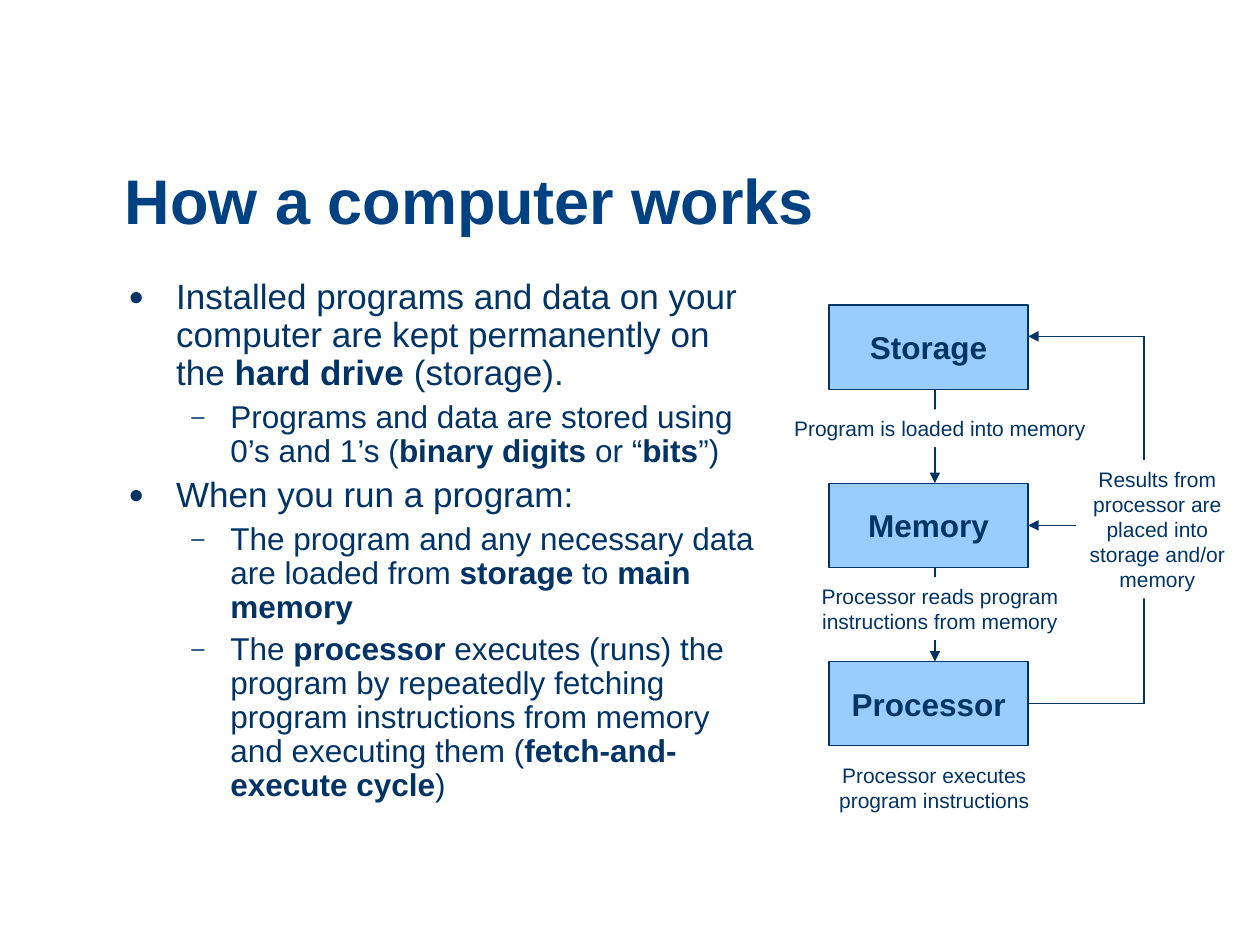
from lxml import etree
from pptx import Presentation
from pptx.dml.color import RGBColor
from pptx.enum.shapes import MSO_CONNECTOR, MSO_SHAPE
from pptx.enum.text import MSO_ANCHOR, MSO_AUTO_SIZE, PP_ALIGN
from pptx.oxml.ns import qn
from pptx.util import Inches, Pt

RECTANGLE, STRAIGHT = MSO_SHAPE.RECTANGLE, MSO_CONNECTOR.STRAIGHT
LEFT, CENTER = PP_ALIGN.LEFT, PP_ALIGN.CENTER
TOP, MIDDLE, BOTTOM = MSO_ANCHOR.TOP, MSO_ANCHOR.MIDDLE, MSO_ANCHOR.BOTTOM
RIGHT_SIDE = 3
FONT, NAVY, TITLE_BLUE, LIGHT_BLUE, WHITE = "Arial", "003366", "004182", "99CCFF", "FFFFFF"

# Content: (level, text), with ** around bold words
TITLE = "How a computer works"
BULLETS = [
    (0, "Installed programs and data on your computer are kept permanently on the **hard drive** (storage)."),
    (1, "Programs and data are stored using 0’s and 1’s (**binary digits** or “**bits**”)"),
    (0, "When you run a program:"),
    (1, "The program and any necessary data are loaded from **storage** to **main memory**"),
    (1, "The **processor** executes (runs) the program by repeatedly fetching program "
        "instructions from memory and executing them (**fetch-and-execute cycle**)"),
]
# Per level: text size, space before, left margin, hanging indent, bullet
LEVELS = [(20, 5, 0.38, 0.38, "●"), (18, 4.5, 0.81, 0.31, "–")]
STAGES = ["Storage", "Memory", "Processor"]
LABELS = [  # text, left, top, width, height
    ("Program is loaded into memory", 6, 3.25, 2.92, 0.3),
    ("Processor reads program instructions from memory", 6, 4.58, 2.92, 0.5),
    ("Processor executes program instructions", 6.5, 6, 1.83, 0.5),
    ("Results from processor are placed into storage and/or memory", 8.54, 3.65, 1.29, 1.1),
]

# Diagram grid
BOX_LEFT, BOX_TOP, BOX_WIDTH, BOX_HEIGHT, BOX_STEP = 6.58, 2.42, 1.58, 0.67, 1.415
ARROW_X, RETURN_X, STORAGE_ENTRY_Y = 7.42, 9.08, 2.67
BOX_RIGHT = BOX_LEFT + BOX_WIDTH


def color(hex_string):
    return RGBColor.from_string(hex_string)


def write(paragraph, text, size=12, hue=NAVY, bold=False, align=LEFT, before=0, spacing=1.0):
    paragraph.alignment = align
    paragraph.line_spacing = spacing
    paragraph.space_before = Pt(before)
    for index, part in enumerate(text.split("**")):
        if part:
            run = paragraph.add_run()
            run.text = part
            run.font.name, run.font.size = FONT, Pt(size)
            run.font.bold = bold or index % 2 == 1
            run.font.color.rgb = color(hue)


def set_bullet(paragraph, margin, hanging, character):
    properties = paragraph._p.get_or_add_pPr()
    properties.set("marL", str(Inches(margin)))
    properties.set("indent", str(-Inches(hanging)))
    bullet_color = etree.SubElement(properties, qn("a:buClr"))
    etree.SubElement(bullet_color, qn("a:srgbClr"), val=NAVY)
    etree.SubElement(properties, qn("a:buSzPct"), val="75000")
    etree.SubElement(properties, qn("a:buFont"), typeface=FONT)
    etree.SubElement(properties, qn("a:buChar"), char=character)


def add_rectangle(left, top, width, height, fill, outline=None):
    shape = slide.shapes.add_shape(RECTANGLE, *map(Inches, (left, top, width, height)))
    shape.shadow.inherit = False
    shape.fill.solid()
    shape.fill.fore_color.rgb = color(fill)
    if outline:
        shape.line.color.rgb = color(outline)
        shape.line.width = Pt(0.75)
    else:
        shape.line.fill.background()
    return shape


def add_line(start, end, arrow=False, start_box=None, end_box=None):
    line = slide.shapes.add_connector(STRAIGHT, *map(Inches, (*start, *end)))
    line.line.color.rgb = color(NAVY)
    line.line.width = Pt(0.75)
    if arrow:
        etree.SubElement(line.line._get_or_add_ln(), qn("a:tailEnd"), type="triangle")
    etree.SubElement(line._element.spPr, qn("a:effectLst"))
    if start_box is not None:
        line.begin_connect(start_box, RIGHT_SIDE)
    if end_box is not None:
        line.end_connect(end_box, RIGHT_SIDE)


presentation = Presentation()
presentation.slide_width, presentation.slide_height = Inches(10), Inches(7.5)
slide = presentation.slides.add_slide(presentation.slide_layouts[5])

# Title
title = slide.shapes.title
title.left, title.top, title.width, title.height = map(Inches, (0.89, 1.14, 8.55, 0.8))
title.text_frame.vertical_anchor = BOTTOM
title.text_frame.auto_size = MSO_AUTO_SIZE.NONE
write(title.text_frame.paragraphs[0], TITLE, size=36, hue=TITLE_BLUE, bold=True, spacing=0.9)

# Bulleted text
body = slide.shapes.add_textbox(*map(Inches, (0.92, 2.17, 5.17, 5.08))).text_frame
body.word_wrap = True
for index, (level, text) in enumerate(BULLETS):
    paragraph = body.add_paragraph() if index else body.paragraphs[0]
    paragraph.level = level
    size, before, margin, hanging, character = LEVELS[level]
    write(paragraph, text, size=size, before=before, spacing=0.9)
    set_bullet(paragraph, margin, hanging, character)

# Stage boxes
box_tops = [BOX_TOP + BOX_STEP * index for index in range(len(STAGES))]
boxes = []
for name, top in zip(STAGES, box_tops):
    box = add_rectangle(BOX_LEFT, top, BOX_WIDTH, BOX_HEIGHT, LIGHT_BLUE, NAVY)
    box.text_frame.word_wrap = False
    box.text_frame.vertical_anchor = MIDDLE
    write(box.text_frame.paragraphs[0], name, size=18, bold=True, align=CENTER)
    boxes.append(box)

# Arrows down from stage to stage
for upper, lower in zip(box_tops, box_tops[1:]):
    add_line((ARROW_X, upper + BOX_HEIGHT), (ARROW_X, lower), arrow=True)

# Return path from the processor to storage and memory
memory_y, processor_y = (top + BOX_HEIGHT / 2 for top in box_tops[1:])
add_line((BOX_RIGHT, processor_y), (RETURN_X, processor_y), start_box=boxes[2])
add_line((RETURN_X, processor_y), (RETURN_X, STORAGE_ENTRY_Y))
add_line((RETURN_X, STORAGE_ENTRY_Y), (BOX_RIGHT, STORAGE_ENTRY_Y), arrow=True)
add_line((RETURN_X, memory_y), (BOX_RIGHT, memory_y), arrow=True, end_box=boxes[1])

# Labels, in front of the lines
for text, *place in LABELS:
    label = add_rectangle(*place, WHITE)
    label.text_frame.word_wrap = True
    label.text_frame.vertical_anchor = TOP
    write(label.text_frame.paragraphs[0], text, align=CENTER, before=7.5)

presentation.save("out.pptx")
